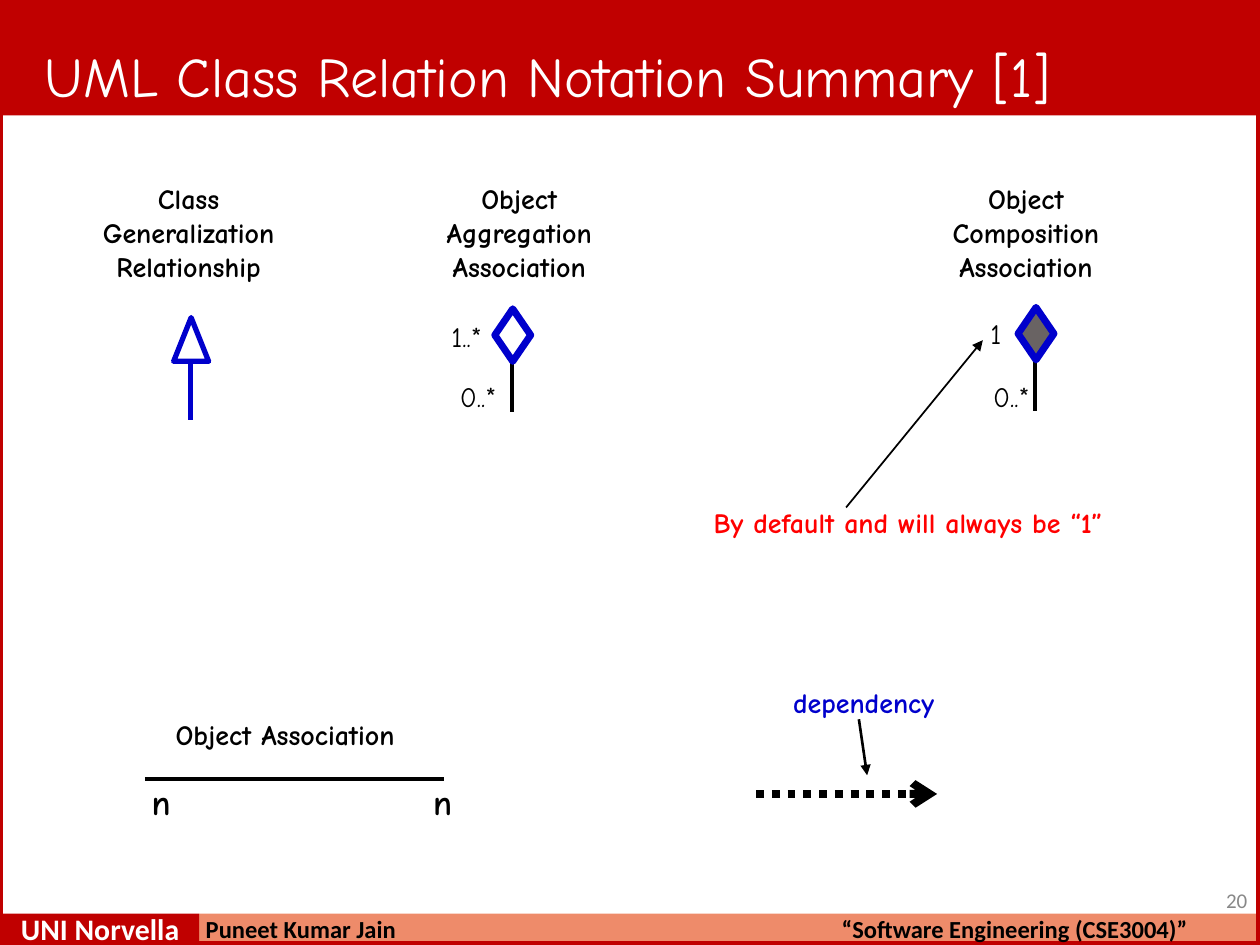
from lxml.etree import SubElement
from pptx import Presentation
from pptx.dml.color import RGBColor
from pptx.enum.dml import MSO_LINE_DASH_STYLE as Dash
from pptx.enum.shapes import MSO_CONNECTOR_TYPE as Connector, MSO_SHAPE as Shape
from pptx.enum.text import PP_ALIGN as Align
from pptx.oxml.ns import qn
from pptx.util import Pt

COLORS = {
    "red": "C00000",
    "salmon": "EE8B6A",
    "blue": "0000CC",
    "gray": "696363",
    "note": "FF0000",
    "number": "888888",
    "black": "000000",
    "white": "FFFFFF",
}


class SlideBuilder:
    body_font = "Comic Neue"
    footer_font = "Calibri"

    def __init__(self, slide):
        self.slide = slide

    def color(self, name):
        return RGBColor.from_string(COLORS[name])

    def shape(self, kind, left, top, width, height, fill=None, line=None, weight=4):
        shape = self.slide.shapes.add_shape(kind, Pt(left), Pt(top), Pt(width), Pt(height))
        shape.shadow.inherit = False
        if fill:
            shape.fill.solid()
            shape.fill.fore_color.rgb = self.color(fill)
        else:
            shape.fill.background()
        if line:
            shape.line.color.rgb = self.color(line)
            shape.line.width = Pt(weight)
        else:
            shape.line.fill.background()

    def line(self, start, end, color="black", weight=2.25, head=None, dash=None):
        points = [Pt(value) for value in (*start, *end)]
        connector = self.slide.shapes.add_connector(Connector.STRAIGHT, *points)
        connector.line.color.rgb = self.color(color)
        connector.line.width = Pt(weight)
        if dash:
            connector.line.dash_style = dash
        properties = connector._element.spPr
        if head:
            SubElement(properties.find(qn("a:ln")), qn("a:tailEnd"), type=head)
        SubElement(properties, qn("a:effectLst"))

    def text(self, left, top, width, height, *paragraphs, inset=1):
        box = self.slide.shapes.add_textbox(Pt(left), Pt(top), Pt(width), Pt(height))
        frame = box.text_frame
        frame.word_wrap = True
        frame.margin_left = frame.margin_right = frame.margin_bottom = 0
        frame.margin_top = Pt(inset)
        for index, settings in enumerate(paragraphs):
            paragraph = frame.add_paragraph() if index else frame.paragraphs[0]
            self.fill_paragraph(paragraph, **settings)

    def fill_paragraph(self, paragraph, words, size=16, color="black", bold=True, font=None,
                       align=Align.LEFT, before=1.1, indent=1, spacing=None):
        paragraph.alignment = align
        paragraph.space_before = Pt(before)
        if spacing:
            paragraph.line_spacing = Pt(spacing)
        paragraph._p.get_or_add_pPr().set("marL", str(Pt(indent)))
        run = paragraph.add_run()
        run.text = words
        run.font.name = font or self.body_font
        run.font.size = Pt(size)
        run.font.bold = bold
        run.font.color.rgb = self.color(color)

    def footer(self, left, top, width, words, size, spacing, color="black", bold=True, indent=1):
        self.text(left, top, width, spacing + 1.5,
                  dict(words=words, size=size, color=color, bold=bold, font=self.footer_font,
                       before=0, indent=indent, spacing=spacing), inset=0)

    def heading(self, left, width, words):
        self.text(left, 103, width, 60, dict(words=words, align=Align.CENTER))

    def diamond(self, center, top, fill):
        self.line((center - 0.5, top + 26), (center - 0.5, top + 59))
        self.shape(Shape.DIAMOND, center - 10.25, top, 20.5, 30, fill, "blue")


def build_frame(builder):
    builder.shape(Shape.RECTANGLE, 0, 0, 720, 66, "red")
    builder.shape(Shape.RECTANGLE, 113.75, 522, 606.25, 18, "salmon")
    builder.shape(Shape.RECTANGLE, 0, 522, 113.75, 18, "red")
    builder.shape(Shape.RECTANGLE, 0, 0, 720, 540, line="red")
    builder.text(24.5, 23, 623.5, 40,
                 dict(words="UML Class Relation Notation Summary [1]",
                      size=32, color="white", bold=False, before=0.9))
    builder.footer(692, 509, 26, "20", 12, 12.4, "number", bold=False, indent=8.6)
    builder.footer(11, 523.5, 102, "UNI Norvella", 17, 17.2, "white")
    builder.footer(116.6, 525, 122, "Puneet Kumar Jain", 14, 14.2)
    builder.footer(480, 525, 209, "“Software Engineering (CSE3004)”", 14, 14.2)


def build_generalization(builder):
    builder.heading(51.8, 111, "Class Generalization Relationship")
    builder.line((109, 182), (109, 240), "blue", 3)
    builder.shape(Shape.ISOSCELES_TRIANGLE, 99.25, 181.5, 20, 25, "white", "blue", 3)


def build_aggregation(builder):
    builder.heading(249, 94.5, "Object Aggregation Association")
    builder.text(257, 181.5, 33, 55,
                 dict(words="1..*", bold=False),
                 dict(words="0..*", bold=False, before=15.1, indent=5.8))
    builder.diamond(293, 176.5, "white")


def build_composition(builder):
    builder.heading(540, 91.5, "Object Composition Association")
    builder.text(566.5, 216, 29, 22, dict(words="0..*", bold=False))
    builder.text(565, 180, 10, 22, dict(words="1", bold=False))
    builder.diamond(592, 175.7, "gray")
    builder.text(406.8, 288, 261, 22,
                 dict(words="By default and will always be “1”", color="note"))
    builder.line((483.5, 290), (561.6, 194.4), weight=1, head="triangle")


def build_association(builder):
    builder.line((82.8, 445), (253.5, 445))
    builder.text(85.7, 445, 13, 26, dict(words="n", size=20, before=0.9))
    builder.text(99.4, 409, 159, 62,
                 dict(words="Object Association"),
                 dict(words="n", size=20, align=Align.RIGHT, before=16.9))


def build_dependency(builder):
    builder.text(452.2, 391, 90, 22, dict(words="dependency", color="blue"))
    builder.line((490.8, 411), (495.5, 443), weight=1.5, head="triangle")
    builder.line((432, 453.7), (535.5, 453.7), weight=4.5, head="arrow", dash=Dash.ROUND_DOT)


def main():
    presentation = Presentation()
    presentation.slide_width = Pt(720)
    presentation.slide_height = Pt(540)
    builder = SlideBuilder(presentation.slides.add_slide(presentation.slide_layouts[6]))
    build_frame(builder)
    build_generalization(builder)
    build_aggregation(builder)
    build_composition(builder)
    build_association(builder)
    build_dependency(builder)
    presentation.save("out.pptx")


if __name__ == "__main__":
    main()
